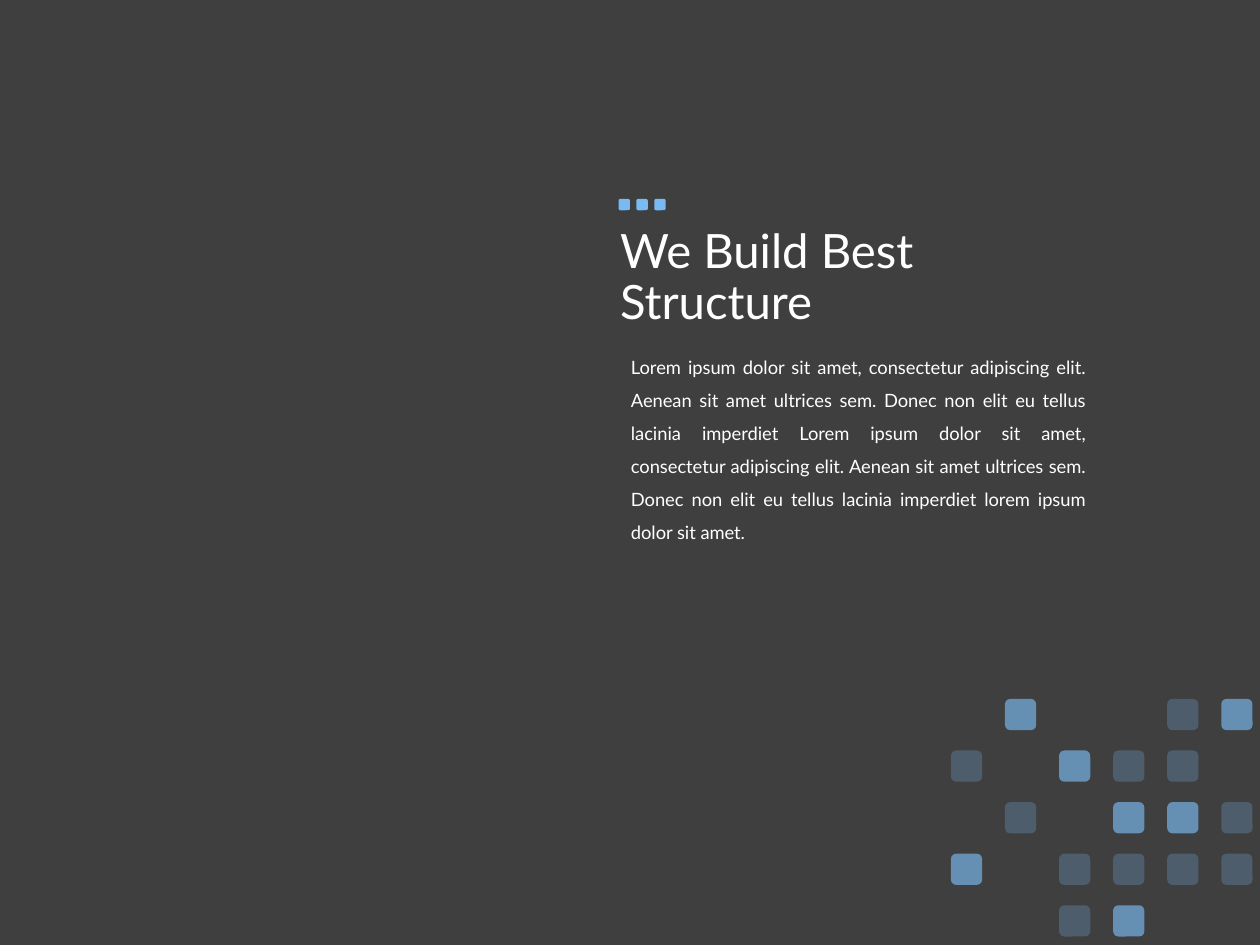
from dataclasses import dataclass

from lxml import etree
from pptx import Presentation
from pptx.dml.color import RGBColor
from pptx.enum.shapes import MSO_SHAPE
from pptx.enum.text import MSO_ANCHOR, MSO_AUTO_SIZE, PP_ALIGN
from pptx.oxml.ns import qn
from pptx.util import Cm, Pt

ROUND = MSO_SHAPE.ROUNDED_RECTANGLE
TOP, MIDDLE = MSO_ANCHOR.TOP, MSO_ANCHOR.MIDDLE
FIXED, GROW = MSO_AUTO_SIZE.NONE, MSO_AUTO_SIZE.SHAPE_TO_FIT_TEXT
LEFT, JUSTIFY = PP_ALIGN.LEFT, PP_ALIGN.JUSTIFY


@dataclass(frozen=True)
class Theme:
    back: RGBColor = RGBColor(0x3F, 0x3F, 0x3F)
    blue: RGBColor = RGBColor(0x7A, 0xBA, 0xF2)
    white: RGBColor = RGBColor(0xFF, 0xFF, 0xFF)
    font: str = "Lato"
    title: float = 27
    body: float = 10.5


class Deck:
    def __init__(self, slide, theme):
        self.slide = slide
        self.theme = theme
        fill = slide.background.fill
        fill.solid()
        fill.fore_color.rgb = theme.back

    def group(self):
        return self.slide.shapes.add_group_shape()

    def tile(self, group, left, top, size, alpha=100):
        tile = group.shapes.add_shape(ROUND, Cm(left), Cm(top), Cm(size), Cm(size))
        tile.shadow.inherit = False
        tile.line.fill.background()
        tile.fill.solid()
        tile.fill.fore_color.rgb = self.theme.blue
        if alpha < 100:
            color = tile.fill._xPr.find(".//" + qn("a:srgbClr"))
            etree.SubElement(color, qn("a:alpha"), val=str(alpha * 1000))

    def text(self, words, box, size, space, align=LEFT, anchor=TOP, fit=FIXED):
        frame = self.slide.shapes.add_textbox(*map(Cm, box)).text_frame
        frame.word_wrap = True
        frame.auto_size = fit
        frame.vertical_anchor = anchor
        frame.text = words
        para = frame.paragraphs[0]
        para.alignment = align
        para.line_spacing = space
        for run in para.runs:
            run.font.name = self.theme.font
            run.font.size = Pt(size)
            run.font.color.rgb = self.theme.white


GRID = (
    ".#..-#",
    "-.#--.",
    ".-.##-",
    "#.----",
    "..-#..",
)
ALPHA = {"#": 65, "-": 25}
BODY = (
    "Lorem ipsum dolor sit amet, consectetur adipiscing elit. "
    "Aenean sit amet ultrices sem. Donec non elit eu tellus lacinia imperdiet "
    "Lorem ipsum dolor sit amet, consectetur adipiscing elit. "
    "Aenean sit amet ultrices sem. Donec non elit eu tellus lacinia imperdiet "
    "lorem ipsum dolor sit amet."
)


def main():
    prs = Presentation()
    prs.slide_width, prs.slide_height = Cm(25.4), Cm(19.05)
    theme = Theme()
    deck = Deck(prs.slides.add_slide(prs.slide_layouts[6]), theme)

    tiles = deck.group()
    for row, line in enumerate(GRID):
        for col, mark in enumerate(line):
            if mark in ALPHA:
                deck.tile(tiles, 19.17 + 1.09 * col, 14.09 + 1.04 * row, 0.63, ALPHA[mark])

    deck.text("We Build Best \vStructure", (12.25, 3.78, 21.9, 3.68),
              theme.title, 0.9, anchor=MIDDLE)
    deck.text(BODY, (12.47, 6.83, 9.68, 4.22), theme.body, 1.5, JUSTIFY, fit=GROW)

    dots = deck.group()
    for col in range(3):
        deck.tile(dots, 12.47 + 0.36 * col, 4.01, 0.23)

    prs.save("out.pptx")


if __name__ == "__main__":
    main()
